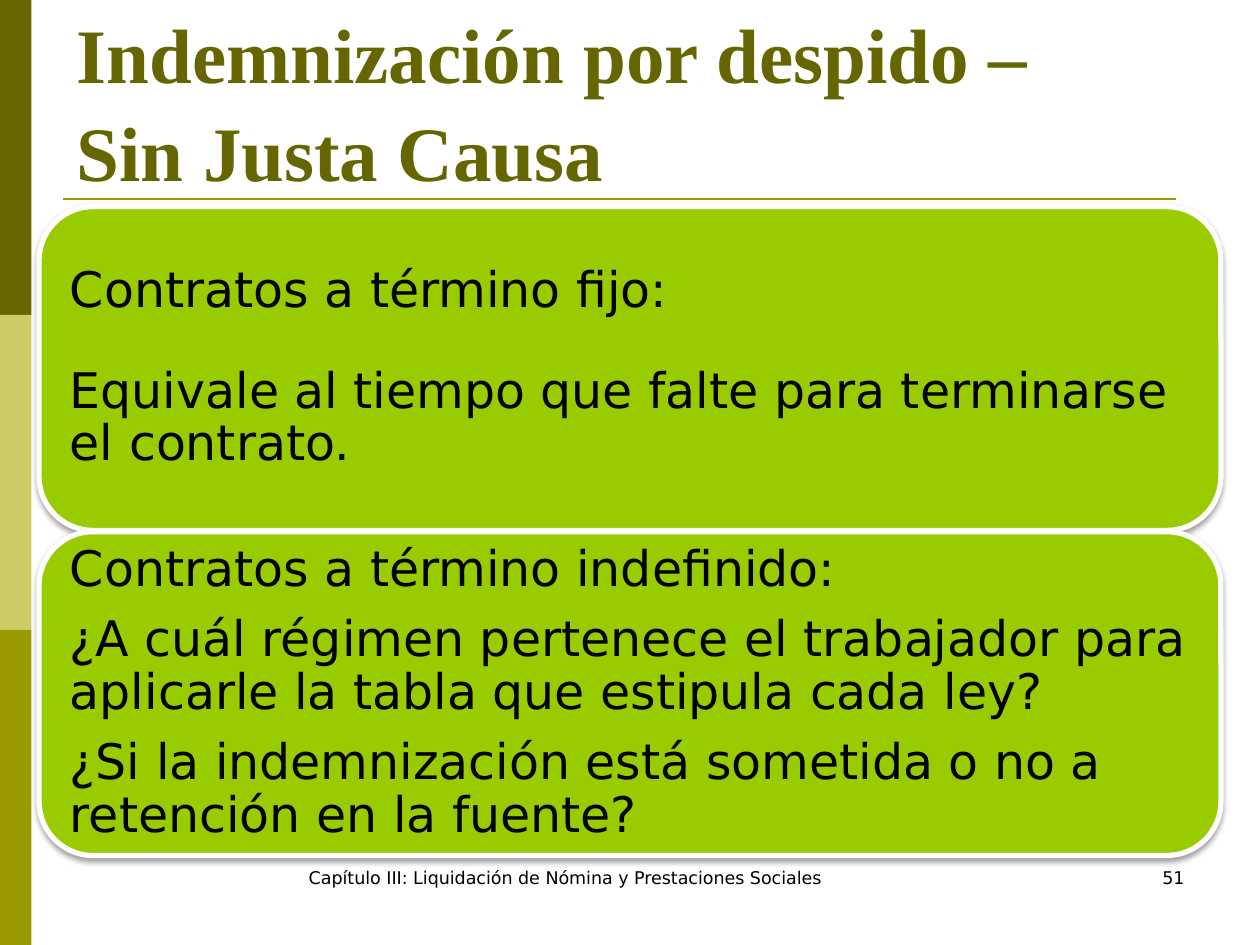
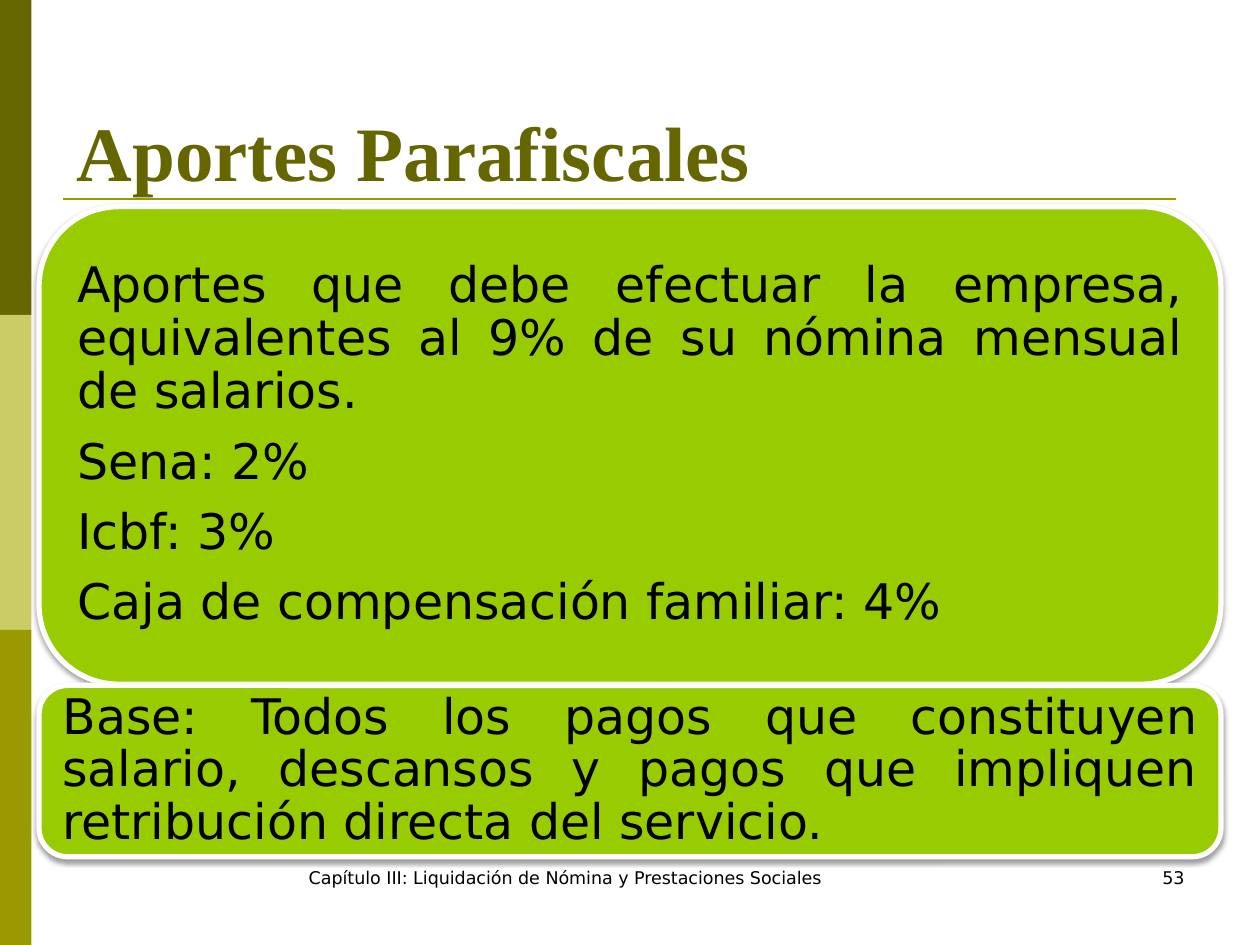
from dataclasses import dataclass

from lxml import etree
from pptx import Presentation
from pptx.dml.color import RGBColor as RGB
from pptx.enum.shapes import MSO_CONNECTOR as CONN, MSO_SHAPE as SHAPE
from pptx.enum.text import MSO_ANCHOR as ANCHOR, MSO_AUTO_SIZE as FIT, PP_ALIGN as ALIGN
from pptx.oxml import parse_xml
from pptx.oxml.ns import nsdecls, qn
from pptx.util import Inches, Pt


@dataclass(frozen=True)
class Theme:
    olive: RGB = RGB(0x66, 0x66, 0x00)
    sand: RGB = RGB(0xCC, 0xCC, 0x66)
    moss: RGB = RGB(0x99, 0x99, 0x00)
    lime: RGB = RGB(0x99, 0xCC, 0x00)
    white: RGB = RGB(0xFF, 0xFF, 0xFF)
    black: RGB = RGB(0, 0, 0)
    heading: str = "Times New Roman"
    body: str = "DejaVu Sans"
    title_size: int = 44
    panel_size: int = 28
    footer_size: int = 10


T = Theme()
W, H = 10, 7.5
BAND_W, BAND_H = W / 40, H / 3
PANEL_X, PANEL_TOP, PANEL_GAP = 0.31, 1.64, 0.01
PANEL_W = W - 2 * PANEL_X
FOOTER_Y, FOOTER_H = 6.83, 0.5
FOOTER = "Capítulo III: Liquidación de Nómina y Prestaciones Sociales"
SHADOW = (f'<a:effectLst {nsdecls("a")}><a:outerShdw blurRad="{Pt(3.1)}" dist="{Pt(1.6)}" '
          'dir="5400000" rotWithShape="0"><a:srgbClr val="000000"><a:alpha val="38000"/>'
          '</a:srgbClr></a:outerShdw></a:effectLst>')

# Each panel: height, alignment of its first paragraph, paragraphs with space before
SLIDES = [
    ("Indemnización por despido –\vSin Justa Causa", 51, [
        (2.57, ALIGN.LEFT, [
            ("Contratos a término fijo:", 0),
            ("Equivale al tiempo que falte para terminarse el contrato.", 27)]),
        (2.57, ALIGN.LEFT, [
            ("Contratos a término indefinido:", 0),
            ("¿A cuál régimen pertenece el trabajador para aplicarle la tabla "
             "que estipula cada ley?", 10),
            ("¿Si la indemnización está sometida o no a retención en la fuente?", 10)]),
    ]),
    ("Aportes Parafiscales", 53, [
        (3.79, ALIGN.JUSTIFY, [
            ("Aportes que debe efectuar la empresa, equivalentes al 9% de su "
             "nómina mensual de salarios.", 0),
            ("Sena: 2%", 10),
            ("Icbf: 3%", 10),
            ("Caja de compensación familiar: 4%", 10)]),
        (1.36, ALIGN.JUSTIFY, [
            ("Base: Todos los pagos que constituyen salario, descansos y pagos "
             "que impliquen retribución directa del servicio.", 0)]),
    ]),
]


def box(x, y, w, h):
    return [Inches(v) for v in (x, y, w, h)]


def style(p, font, size, color, align, bold=False):
    p.alignment = align
    p.font.name, p.font.size, p.font.bold = font, Pt(size), bold
    p.font.color.rgb = color


prs = Presentation()
prs.slide_width, prs.slide_height = Inches(W), Inches(H)

for title, number, panels in SLIDES:
    s = prs.slides.add_slide(prs.slide_layouts[5])

    # Side bands
    for i, color in enumerate((T.olive, T.sand, T.moss)):
        sp = s.shapes.add_shape(SHAPE.RECTANGLE, *box(0, i * BAND_H, BAND_W, BAND_H))
        sp.shadow.inherit = False
        sp.fill.solid()
        sp.fill.fore_color.rgb = color
        sp.line.fill.background()

    # Title and the rule below it
    sp = s.shapes.title
    sp.left, sp.top, sp.width, sp.height = box(0.51, 0.36, 9, 1.25)
    tf = sp.text_frame
    tf.text, tf.auto_size, tf.vertical_anchor = title, FIT.NONE, ANCHOR.BOTTOM
    style(tf.paragraphs[0], T.heading, T.title_size, T.olive, ALIGN.LEFT, True)
    tf.paragraphs[0].line_spacing = 1.06
    rule = s.shapes.add_connector(CONN.STRAIGHT, *box(0.5, 1.58, 9.33, 1.58))
    rule.line.color.rgb, rule.line.width = T.moss, Pt(1.5)
    etree.SubElement(rule._element.spPr, qn("a:effectLst"))

    # Stacked panels
    y = PANEL_TOP
    for h, first_align, paragraphs in panels:
        sp = s.shapes.add_shape(SHAPE.ROUNDED_RECTANGLE, *box(PANEL_X, y, PANEL_W, h))
        sp.fill.solid()
        sp.fill.fore_color.rgb = T.lime
        sp.line.color.rgb, sp.line.width = T.white, Pt(3)
        sp._element.spPr.append(parse_xml(SHADOW))
        tf = sp.text_frame
        tf.word_wrap, tf.vertical_anchor = True, ANCHOR.MIDDLE
        tf.margin_left = tf.margin_right = tf.margin_top = tf.margin_bottom = Inches(0.12)
        for i, (text, before) in enumerate(paragraphs):
            p = tf.add_paragraph() if i else tf.paragraphs[0]
            p.text, p.line_spacing = text, 0.9
            if before:
                p.space_before = Pt(before)
            style(p, T.body, T.panel_size, T.black, ALIGN.LEFT if i else first_align)
        y += h + PANEL_GAP

    # Footer and slide number
    for x, w, text, align in ((1.87, 5.23, FOOTER, ALIGN.CENTER),
                              (7.17, 2.33, str(number), ALIGN.RIGHT)):
        tf = s.shapes.add_textbox(*box(x, FOOTER_Y, w, FOOTER_H)).text_frame
        tf.word_wrap, tf.text = True, text
        style(tf.paragraphs[0], T.body, T.footer_size, T.black, align)

prs.save("out.pptx")
